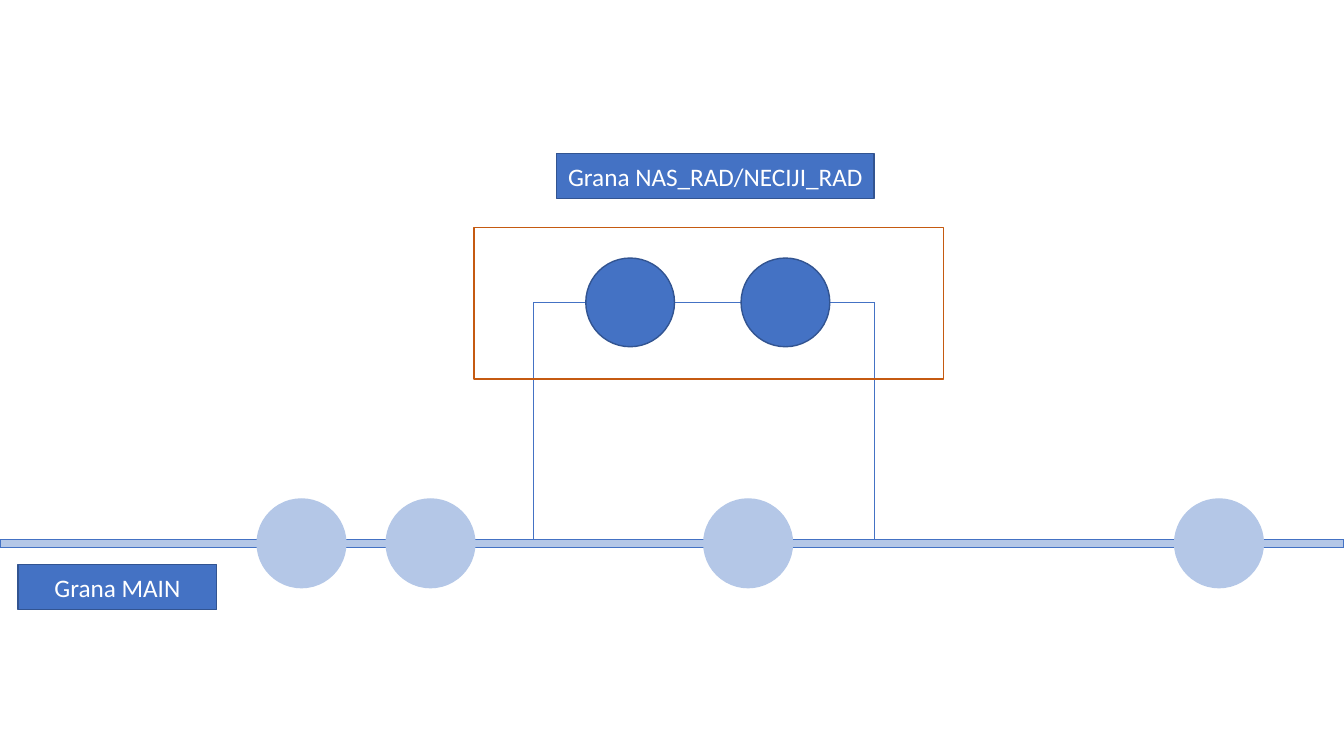
from lxml.etree import SubElement
from pptx import Presentation
from pptx.dml.color import RGBColor
from pptx.enum.shapes import MSO_CONNECTOR, MSO_SHAPE
from pptx.enum.text import MSO_ANCHOR, PP_ALIGN
from pptx.oxml.ns import qn
from pptx.util import Inches, Pt

BLUE, DARK_BLUE, PALE_BLUE, ORANGE = "4472C4", "325491", "B4C7E7", "C55A11"
DIAMETER = 0.88
MAIN_Y, BRANCH_Y = 5.39, 3.0
MAIN_HEIGHT = 0.08
BRANCH_START, BRANCH_END = 5.29, 8.67
LABEL_FONT = {"name": "Calibri", "size": Pt(18)}
LABEL_FRAME = {"word_wrap": True, "vertical_anchor": MSO_ANCHOR.MIDDLE}


def color(hex_value):
    return RGBColor.from_string(hex_value)


def set_format(obj, values):
    for name, value in values.items():
        setattr(obj, name, value)


def add_box(slide, kind, x, y, w, h, fill, line):
    sp = slide.shapes.add_shape(kind, Inches(x), Inches(y), Inches(w), Inches(h))
    sp.shadow.inherit = False
    if fill:
        sp.fill.solid()
        sp.fill.fore_color.rgb = color(fill)
    else:
        sp.fill.background()
    sp.line.color.rgb = color(line)
    sp.line.width = Pt(1)
    return sp


def add_commit(slide, x, center_y, fill, line):
    add_box(slide, MSO_SHAPE.OVAL, x, center_y - DIAMETER / 2,
            DIAMETER, DIAMETER, fill, line)


def add_label(slide, text, x, y, w):
    sp = add_box(slide, MSO_SHAPE.RECTANGLE, x, y, w, 0.45, BLUE, DARK_BLUE)
    tf = sp.text_frame
    set_format(tf, LABEL_FRAME)
    p = tf.paragraphs[0]
    p.alignment = PP_ALIGN.CENTER
    r = p.add_run()
    r.text = text
    set_format(r.font, LABEL_FONT)
    r.font.color.rgb = color("FFFFFF")


def add_line(shapes, x1, y1, x2, y2):
    cn = shapes.add_connector(MSO_CONNECTOR.STRAIGHT, Inches(x1), Inches(y1),
                              Inches(x2), Inches(y2))
    cn.line.color.rgb = color(BLUE)
    cn.line.width = Pt(0.5)
    SubElement(cn._element.spPr, qn("a:effectLst"))


def main():
    prs = Presentation()
    prs.slide_width, prs.slide_height = Inches(13.33), Inches(7.5)
    slide = prs.slides.add_slide(prs.slide_layouts[6])

    # Main branch bar
    main_top = MAIN_Y - MAIN_HEIGHT / 2
    add_box(slide, MSO_SHAPE.RECTANGLE, 0, main_top, 13.33, MAIN_HEIGHT,
            PALE_BLUE, BLUE)

    # Side branch path
    branch = slide.shapes.add_group_shape()
    add_line(branch.shapes, BRANCH_START, BRANCH_Y, BRANCH_END, BRANCH_Y)
    for x in (BRANCH_START, BRANCH_END):
        add_line(branch.shapes, x, BRANCH_Y, x, main_top)

    # Commits on both branches
    for x in (5.81, 7.35):
        add_commit(slide, x, BRANCH_Y, BLUE, DARK_BLUE)
    for x in (2.55, 3.83, 6.98, 11.65):
        add_commit(slide, x, MAIN_Y, PALE_BLUE, PALE_BLUE)

    # Branch names and side branch frame
    add_label(slide, "Grana MAIN", 0.18, 5.6, 1.97)
    add_label(slide, "Grana NAS_RAD/NECIJI_RAD", 5.52, 1.52, 3.15)
    add_box(slide, MSO_SHAPE.RECTANGLE, 4.7, 2.26, 4.66, 1.5, None, ORANGE)

    prs.save("out.pptx")


main()
